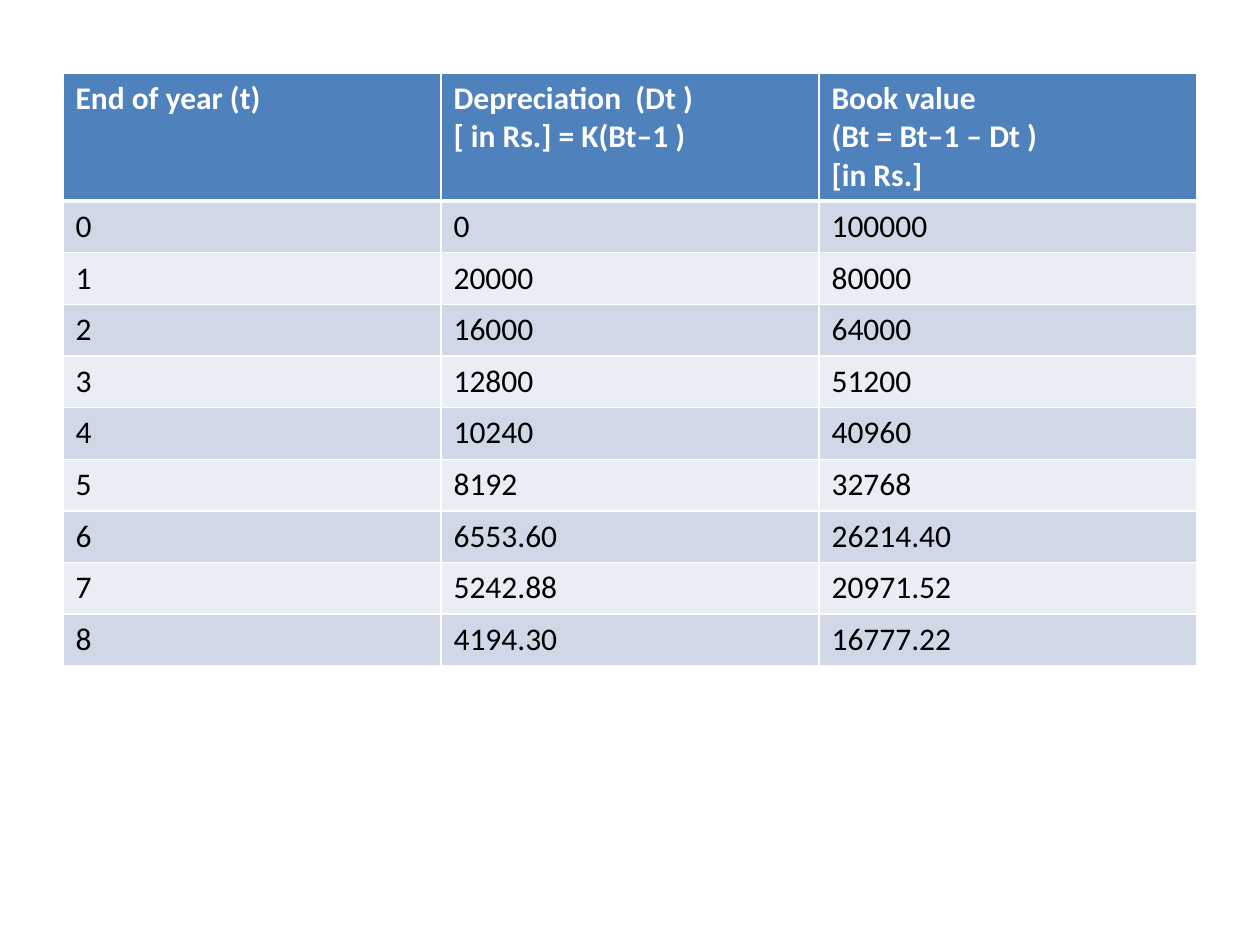
from dataclasses import dataclass

from lxml.etree import SubElement
from pptx import Presentation
from pptx.dml.color import RGBColor
from pptx.oxml.ns import qn
from pptx.table import _Cell
from pptx.util import Inches, Pt


@dataclass(frozen=True)
class RowStyle:
    """Look of one kind of table row."""

    fill: str
    ink: str
    bold: bool
    bottom_border: float


HEADING = RowStyle("4F81BD", "FFFFFF", True, 3)
BANDS = (
    RowStyle("D0D8E8", "000000", False, 1),
    RowStyle("E9EDF4", "000000", False, 1),
)
BORDER_COLOR = "FFFFFF"
COLUMN_WIDTH = 3
HEADING_HEIGHT = 1
YEAR_HEIGHT = 0.41

HEADINGS = (
    "End of year (t)",
    "Depreciation  (Dt ) \n[ in Rs.] = K(Bt–1 ) ",
    "Book value\n(Bt = Bt–1 – Dt )\n[in Rs.]",
)
YEARS = (
    ("0", "0", "100000"),
    ("1", "20000", "80000"),
    ("2", "16000", "64000"),
    ("3", "12800", "51200"),
    ("4", "10240", "40960"),
    ("5", "8192", "32768"),
    ("6", "6553.60", "26214.40"),
    ("7", "5242.88", "20971.52"),
    ("8", "4194.30", "16777.22"),
)


def rgb(color: str) -> RGBColor:
    """Turn a hex string into a colour."""
    return RGBColor.from_string(color)


def add_border(cell: _Cell, side: str, width: float) -> None:
    """Draw a solid border on one side of a cell."""
    properties = cell._tc.get_or_add_tcPr()
    border = SubElement(properties, qn(f"a:ln{side}"), w=str(Pt(width)))
    solid = SubElement(border, qn("a:solidFill"))
    SubElement(solid, qn("a:srgbClr"), val=BORDER_COLOR)


def write_cell(cell: _Cell, wording: str, style: RowStyle, top_border: float) -> None:
    """Fill a cell with text, borders and colour."""
    for side, width in zip("LRTB", (1, 1, top_border, style.bottom_border)):
        add_border(cell, side, width)
    cell.fill.solid()
    cell.fill.fore_color.rgb = rgb(style.fill)
    cell.text_frame.text = wording
    for paragraph in cell.text_frame.paragraphs:
        for run in paragraph.runs:
            run.font.name = "Calibri"
            run.font.size = Pt(18)
            run.font.bold = style.bold
            run.font.color.rgb = rgb(style.ink)


def build() -> None:
    """Build the depreciation schedule slide."""
    presentation = Presentation()
    presentation.slide_width = Inches(10)
    presentation.slide_height = Inches(7.5)
    slide = presentation.slides.add_slide(presentation.slide_layouts[6])
    records = (HEADINGS, *YEARS)
    schedule = slide.shapes.add_table(
        len(records),
        len(HEADINGS),
        Inches(0.5),
        Inches(0.58),
        Inches(COLUMN_WIDTH * len(HEADINGS)),
        Inches(HEADING_HEIGHT + YEAR_HEIGHT * len(YEARS)),
    ).table
    for column in schedule.columns:
        column.width = Inches(COLUMN_WIDTH)
    top_border = 1
    for index, record in enumerate(records):
        style = BANDS[(index - 1) % 2] if index else HEADING
        schedule.rows[index].height = Inches(YEAR_HEIGHT if index else HEADING_HEIGHT)
        for cell, wording in zip(schedule.rows[index].cells, record):
            write_cell(cell, wording, style, top_border)
        top_border = style.bottom_border
    presentation.save("out.pptx")


build()
